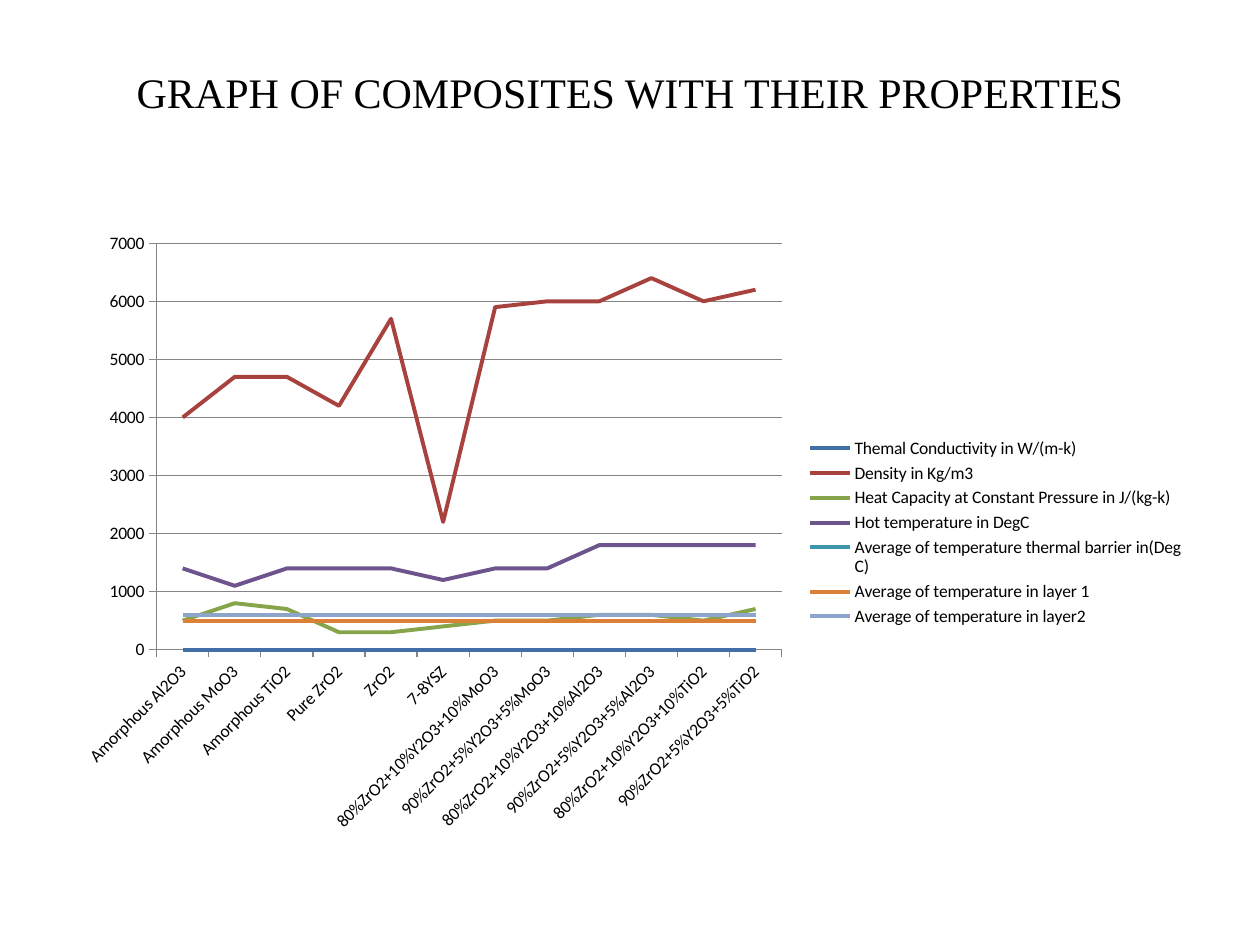
from pptx import Presentation
from pptx.chart.data import CategoryChartData
from pptx.dml.color import RGBColor
from pptx.enum.chart import XL_CHART_TYPE, XL_LEGEND_POSITION, XL_TICK_MARK
from pptx.enum.text import MSO_ANCHOR, PP_ALIGN
from pptx.util import Pt

LINE = XL_CHART_TYPE.LINE
LEGEND_RIGHT = XL_LEGEND_POSITION.RIGHT
TICK_OUTSIDE = XL_TICK_MARK.OUTSIDE
MIDDLE = MSO_ANCHOR.MIDDLE
CENTER = PP_ALIGN.CENTER

PX = 914400 // 126
BLACK = "000000"
AXIS_GRAY = "868686"

TITLE = "GRAPH OF COMPOSITES WITH THEIR PROPERTIES"
TITLE_BOX = (63, 38, 1134, 158)
CHART_BOX = (63, 221, 1134, 623)

COMPOSITES = [
    "Amorphous Al2O3", "Amorphous MoO3", "Amorphous TiO2",
    "Pure ZrO2", "ZrO2", "7-8YSZ",
    "80%ZrO2+10%Y2O3+10%MoO3", "90%ZrO2+5%Y2O3+5%MoO3",
    "80%ZrO2+10%Y2O3+10%Al2O3", "90%ZrO2+5%Y2O3+5%Al2O3",
    "80%ZrO2+10%Y2O3+10%TiO2", "90%ZrO2+5%Y2O3+5%TiO2",
]
COUNT = len(COMPOSITES)
PROPERTIES = [
    ("Themal Conductivity in W/(m-k)", "416FA6", [0] * COUNT),
    ("Density in Kg/m3", "A8423F",
     [4000, 4700, 4700, 4200, 5700, 2200, 5900, 6000, 6000, 6400, 6000, 6200]),
    ("Heat Capacity at Constant Pressure in J/(kg-k)", "86A44A",
     [500, 800, 700, 300, 300, 400, 500, 500, 600, 600, 500, 700]),
    ("Hot temperature in DegC", "6E548D",
     [1400, 1100, 1400, 1400, 1400, 1200, 1400, 1400, 1800, 1800, 1800, 1800]),
    ("Average of temperature thermal barrier in(Deg C)", "3D96AE", [500] * COUNT),
    ("Average of temperature in layer 1", "DA8137", [500] * COUNT),
    ("Average of temperature in layer2", "8EA5CB", [600] * COUNT),
]


def rgb(color):
    return RGBColor.from_string(color)


def emu(box):
    return [length * PX for length in box]


def style_font(font, name, size):
    font.name = name
    font.size = Pt(size)
    font.color.rgb = rgb(BLACK)


def style_line(line, color, width):
    line.color.rgb = rgb(color)
    line.width = Pt(width)


def add_title(slide):
    frame = slide.shapes.add_textbox(*emu(TITLE_BOX)).text_frame
    frame.word_wrap = True
    frame.vertical_anchor = MIDDLE
    frame.margin_bottom = 57 * PX
    heading = frame.paragraphs[0]
    heading.text = TITLE
    heading.alignment = CENTER
    style_font(heading.font, "Times New Roman", 24)


def add_property_chart(slide):
    data = CategoryChartData()
    data.categories = COMPOSITES
    for name, _, values in PROPERTIES:
        data.add_series(name, values)
    chart = slide.shapes.add_chart(LINE, *emu(CHART_BOX), data).chart
    style_font(chart.font, "Calibri", 10)
    chart.has_title = False
    chart.has_legend = True
    chart.legend.position = LEGEND_RIGHT
    chart.legend.include_in_layout = False

    for series, (_, color, _) in zip(chart.plots[0].series, PROPERTIES):
        series.smooth = False
        style_line(series.format.line, color, 2.25)

    for axis in (chart.category_axis, chart.value_axis):
        axis.major_tick_mark = TICK_OUTSIDE
        style_line(axis.format.line, AXIS_GRAY, 0.75)
    values_axis = chart.value_axis
    values_axis.minimum_scale = 0
    values_axis.maximum_scale = 7000
    values_axis.major_unit = 1000
    values_axis.has_major_gridlines = True
    style_line(values_axis.major_gridlines.format.line, AXIS_GRAY, 0.75)


def main():
    deck = Presentation()
    deck.slide_width, deck.slide_height = emu((1260, 945))
    slide = deck.slides.add_slide(deck.slide_layouts[6])
    add_title(slide)
    add_property_chart(slide)
    deck.save("out.pptx")


if __name__ == "__main__":
    main()
